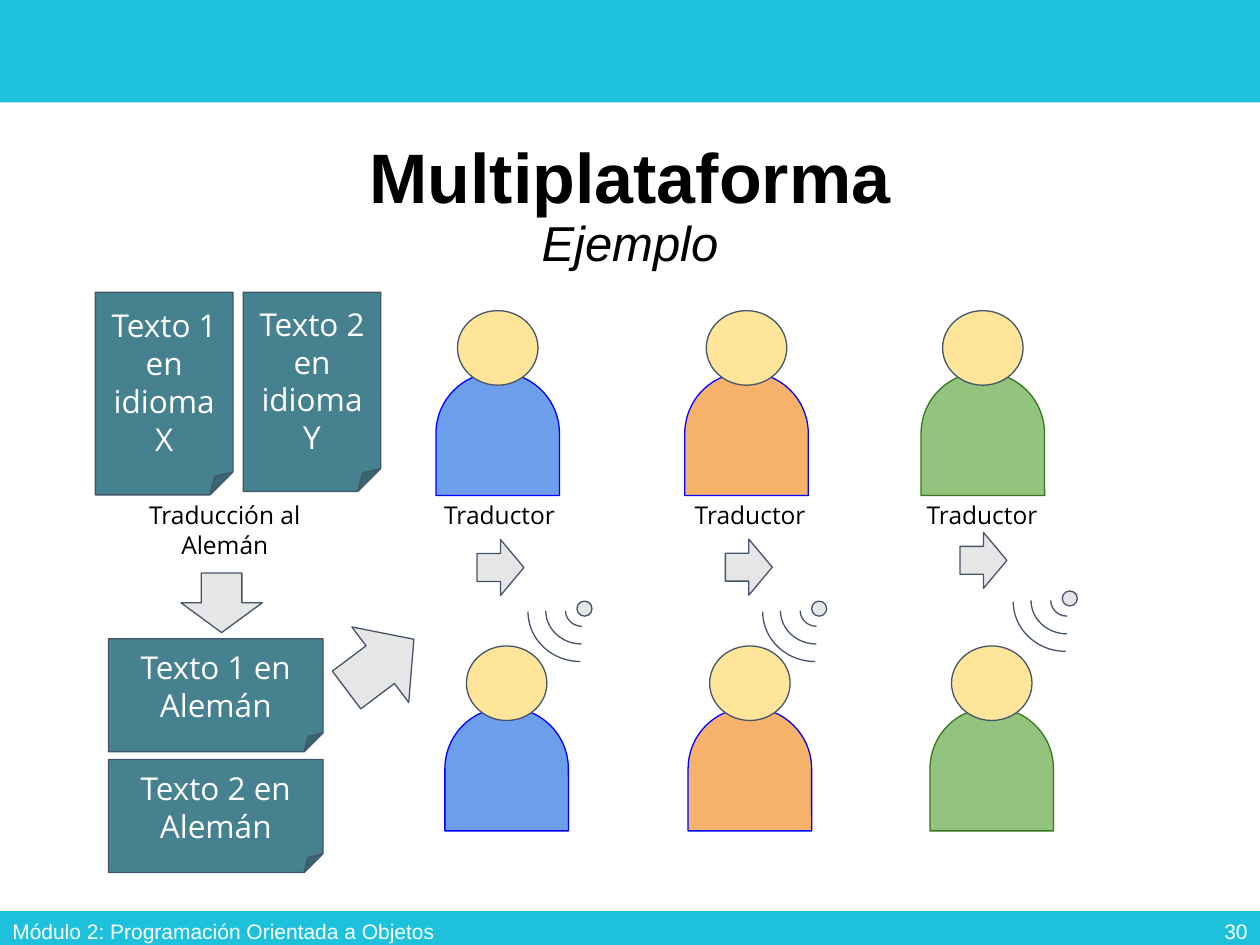
"""Build the slide that explains multiplatform code with translators."""
from pptx import Presentation
from pptx.dml.color import RGBColor
from pptx.enum.shapes import MSO_SHAPE
from pptx.enum.text import MSO_ANCHOR, PP_ALIGN
from pptx.util import Pt

CYAN = RGBColor(0x1D, 0xC1, 0xDC)
TEAL = RGBColor(0x45, 0x81, 0x8E)
SLATE = RGBColor(0x44, 0x54, 0x6A)
GRAY = RGBColor(0xE7, 0xE6, 0xE6)
SKIN = RGBColor(0xFF, 0xE5, 0x99)
BLUE = RGBColor(0x6D, 0x9E, 0xEB)
ORANGE = RGBColor(0xF6, 0xB2, 0x6B)
GREEN = RGBColor(0x93, 0xC4, 0x7D)
PURE_BLUE = RGBColor(0x00, 0x00, 0xFF)
DARK_GREEN = RGBColor(0x38, 0x76, 0x1D)
BLACK = RGBColor(0x00, 0x00, 0x00)
WHITE = RGBColor(0xFF, 0xFF, 0xFF)


def add_shape(kind, x, y, w, h, fill=None, line=SLATE, rotation=0):
    sp = s.shapes.add_shape(kind, Pt(x), Pt(y), Pt(w), Pt(h))
    sp.shadow.inherit = False
    sp.rotation = rotation
    if fill is None:
        sp.fill.background()
    else:
        sp.fill.solid()
        sp.fill.fore_color.rgb = fill
    if line is None:
        sp.line.fill.background()
    else:
        sp.line.color.rgb = line
        sp.line.width = Pt(0.75)
    return sp


def set_text(sp, text, size, color, font="Open Sans", align=PP_ALIGN.CENTER,
             anchor=MSO_ANCHOR.MIDDLE, inset=7.2):
    tf = sp.text_frame
    tf.word_wrap = True
    tf.vertical_anchor = anchor
    tf.margin_left = tf.margin_right = Pt(7.2)
    tf.margin_top = tf.margin_bottom = Pt(inset)
    tf.text = text
    for p in tf.paragraphs:
        p.alignment = align
        p.font.name = font
        p.font.size = Pt(size)
        p.font.color.rgb = color


prs = Presentation()
prs.slide_width, prs.slide_height = Pt(720), Pt(540)
s = prs.slides.add_slide(prs.slide_layouts[5])

for y, h in ((0, 58.5), (520.6, 22.3)):
    add_shape(MSO_SHAPE.RECTANGLE, 0, y, 720, h, CYAN, None)

title = s.shapes.title
title.left, title.top, title.width, title.height = Pt(49.7), Pt(70.6), Pt(620.6), Pt(95.8)
tf = title.text_frame
tf.vertical_anchor = MSO_ANCHOR.MIDDLE
p = tf.paragraphs[0]
p.alignment = PP_ALIGN.CENTER
p.line_spacing = 0.9
p.font.name = "Arial"
p.font.color.rgb = BLACK
r = p.add_run()
r.text = "Multiplataforma"
r.font.size = Pt(40)
r.font.bold = True
p.add_line_break()
r = p.add_run()
r.text = "Ejemplo"
r.font.size = Pt(28)
r.font.italic = True

for text, x, w, align in (
    ("Módulo 2: Programación Orientada a Objetos", 0, 263.5, PP_ALIGN.LEFT),
    ("30", 558, 162, PP_ALIGN.RIGHT),
):
    box = s.shapes.add_textbox(Pt(x), Pt(517.7), Pt(w), Pt(28.8))
    set_text(box, text, 12, WHITE, "Arial", align, inset=3.6)

for text, x, y, w, h in (
    ("Texto 1 en idioma\nX", 54.5, 167, 78.6, 115.8),
    ("Texto 2 en idioma\nY", 139, 167, 78.6, 113.8),
    ("Texto 1 en Alemán", 62, 365, 122.6, 64.6),
    ("Texto 2 en Alemán", 62, 434, 122.6, 64.6),
):
    note = add_shape(MSO_SHAPE.FOLDED_CORNER, x, y, w, h, TEAL)
    set_text(note, text, 18, WHITE)

for x, y, fill, line in (
    (249.1, 212.8, BLUE, PURE_BLUE),
    (391.3, 212.8, ORANGE, PURE_BLUE),
    (526.3, 212.8, GREEN, DARK_GREEN),
    (254.2, 404.4, BLUE, PURE_BLUE),
    (393.2, 404.4, ORANGE, PURE_BLUE),
    (531.4, 404.4, GREEN, DARK_GREEN),
):
    body = add_shape(MSO_SHAPE.ROUND_2_SAME_RECTANGLE, x, y, 70.6, 70.4, fill, line)
    body.adjustments[0] = 0.496
    add_shape(MSO_SHAPE.OVAL, x + 12.3, y - 35.3, 46, 42.6, SKIN)

for x, y, w, h, rotation in (
    (272.6, 308.3, 26.8, 32, 0),
    (414.5, 308.1, 26.8, 32, 0),
    (548.6, 304.2, 26.8, 32, 0),
    (193.2, 352.8, 48.2, 54, 323),
    (109.6, 321.3, 34, 46.4, 90),
):
    add_shape(MSO_SHAPE.RIGHT_ARROW, x, y, w, h, GRAY, rotation=rotation)

for text, x, w, h in (
    ("Traducción al Alemán", 55.4, 146.2, 42.5),
    ("Traductor", 239.8, 91.4, 25.2),
    ("Traductor", 383, 91.4, 25.2),
    ("Traductor", 515.5, 91.4, 25.2),
):
    box = s.shapes.add_textbox(Pt(x), Pt(278.6), Pt(w), Pt(h))
    set_text(box, text, 14, BLACK, anchor=MSO_ANCHOR.TOP)

for x, y in ((301.7, 321.1), (435.8, 321.1), (579, 315.3)):
    for dx, dy, w, h in ((21.4, 18.8, 18.7, 18), (10.1, 8.7, 41, 38.2), (0, 0, 59.8, 56.9)):
        add_shape(MSO_SHAPE.ARC, x + dx, y + dy, w, h, rotation=180)
    add_shape(MSO_SHAPE.OVAL, x + 28, y + 22.4, 8.6, 8.6, GRAY)

prs.save("out.pptx")
